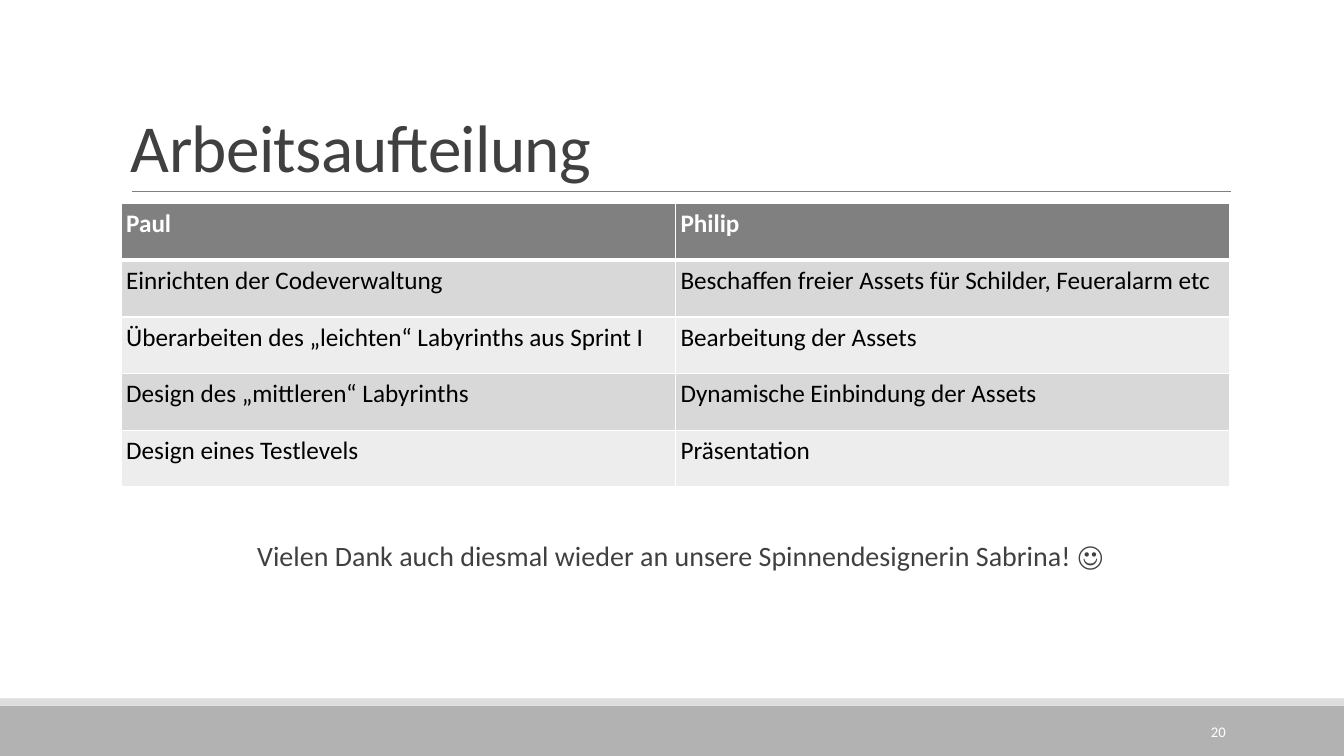
from pptx import Presentation
from pptx.dml.color import RGBColor
from pptx.enum.shapes import MSO_CONNECTOR as Connector, MSO_SHAPE as Shape
from pptx.enum.text import MSO_ANCHOR as Anchor, MSO_AUTO_SIZE as AutoSize, PP_ALIGN as Align
from pptx.oxml import parse_xml
from pptx.oxml.ns import nsdecls
from pptx.util import Cm, Pt

WIDTH, HEIGHT = 33.87, 19.05
LEFT, CONTENT_WIDTH = 3.05, 27.94
TASKS = [
    ("Paul", "Philip"),
    ("Einrichten der Codeverwaltung", "Beschaffen freier Assets für Schilder, Feueralarm etc"),
    ("Überarbeiten des „leichten“ Labyrinths aus Sprint I", "Bearbeitung der Assets"),
    ("Design des „mittleren“ Labyrinths", "Dynamische Einbindung der Assets"),
    ("Design eines Testlevels", "Präsentation"),
]


def color(value):
    return RGBColor.from_string(value)


def place(shape, box):
    shape.left, shape.top, shape.width, shape.height = [Cm(length) for length in box]


def add_run(paragraph, text, size, text_color, bold=False):
    run = paragraph.add_run()
    run.text = text
    run.font.name = "Calibri"
    run.font.size = Pt(size)
    run.font.bold = bold
    run.font.color.rgb = color(text_color)
    return run


def prepare_frame(frame, anchor, horizontal=0.25, top=0.13):
    frame.word_wrap = True
    frame.auto_size = AutoSize.NONE
    frame.vertical_anchor = anchor
    frame.margin_left = frame.margin_right = Cm(horizontal)
    frame.margin_top, frame.margin_bottom = Cm(top), Cm(0.13)
    return frame.paragraphs[0]


def add_band(slide, box, fill):
    band = slide.shapes.add_shape(Shape.RECTANGLE, *[Cm(length) for length in box])
    band.shadow.inherit = False
    band.fill.solid()
    band.fill.fore_color.rgb = color(fill)
    band.line.fill.background()


def add_footer(slide, box, number):
    left, top, width, height = box
    stripe = 0.18
    add_band(slide, (left, top + stripe, width, height - stripe), "B2B2B2")
    add_band(slide, (left, top, width, stripe), "DDDDDD")
    number_box = slide.shapes.add_textbox(
        Cm(left + 27.51), Cm(top + 0.33), Cm(3.63), Cm(1.02))
    paragraph = prepare_frame(number_box.text_frame, Anchor.MIDDLE)
    paragraph.alignment = Align.RIGHT
    add_run(paragraph, number, 10.5, "FFFFFF")


def add_title(slide, box, text):
    left, top, width, height = box
    title = slide.shapes.title
    place(title, box)
    paragraph = prepare_frame(title.text_frame, Anchor.BOTTOM)
    paragraph.alignment = Align.LEFT
    paragraph.line_spacing = 0.85
    run = add_run(paragraph, text, 48, "404040")
    run.font._element.set("spc", "-50")
    bottom = Cm(top + height)
    rule = slide.shapes.add_connector(
        Connector.STRAIGHT, Cm(left + 0.28), bottom, Cm(left + width + 0.03), bottom)
    rule.line.color.rgb = color("808080")
    rule.line.width = Pt(0.5)
    rule._element.spPr.append(parse_xml(f"<a:effectLst {nsdecls('a')}/>"))


def add_borders(cell, top, bottom):
    properties = cell._tc.get_or_add_tcPr()
    for side, width in (("L", 1), ("R", 1), ("T", top), ("B", bottom)):
        properties.append(parse_xml(
            f'<a:ln{side} {nsdecls("a")} w="{Pt(width)}"><a:solidFill>'
            f'<a:srgbClr val="FFFFFF"/></a:solidFill></a:ln{side}>'))


def add_task_table(slide, box, rows):
    left, top, width, height = box
    table = slide.shapes.add_table(
        len(rows), len(rows[0]), Cm(left), Cm(top), Cm(width), Cm(height)).table
    for column in table.columns:
        column.width = Cm(width / len(rows[0]))
    for row_index, texts in enumerate(rows):
        table.rows[row_index].height = Cm(height / len(rows))
        header = row_index == 0
        fill = "808080" if header else ("EDEDED", "D8D8D8")[row_index % 2]
        for column_index, text in enumerate(texts):
            cell = table.cell(row_index, column_index)
            cell.margin_left = cell.margin_right = Cm(0.13)
            cell.margin_top = cell.margin_bottom = Cm(0.13)
            add_borders(cell, 3 if row_index == 1 else 1, 3 if header else 1)
            cell.fill.solid()
            cell.fill.fore_color.rgb = color(fill)
            add_run(cell.text_frame.paragraphs[0], text, 18,
                    "FFFFFF" if header else "000000", header)


def add_thanks(slide, box, text):
    body = slide.placeholders[1]
    place(body, box)
    paragraph = prepare_frame(body.text_frame, Anchor.TOP, horizontal=0, top=1.4)
    properties = paragraph._p.get_or_add_pPr()
    properties.set("marL", str(Cm(0.25)))
    properties.set("indent", "0")
    properties.append(parse_xml(f"<a:buNone {nsdecls('a')}/>"))
    paragraph.alignment = Align.CENTER
    paragraph.line_spacing = 0.9
    paragraph.space_before = Pt(0)
    paragraph.space_after = Pt(2)
    add_run(paragraph, text, 20, "404040")


def main():
    presentation = Presentation()
    presentation.slide_width, presentation.slide_height = Cm(WIDTH), Cm(HEIGHT)
    slide = presentation.slides.add_slide(presentation.slide_layouts[1])
    add_footer(slide, (0, 17.6, WIDTH, HEIGHT - 17.6), "20")
    add_title(slide, (LEFT, 0.79, CONTENT_WIDTH, 4.04), "Arbeitsaufteilung")
    add_task_table(slide, (LEFT, 5.13, CONTENT_WIDTH, 7.14), TASKS)
    add_thanks(slide, (LEFT, 12.27, CONTENT_WIDTH, 4.04),
               "Vielen Dank auch diesmal wieder an unsere Spinnendesignerin Sabrina! ☺")
    presentation.save("out.pptx")


if __name__ == "__main__":
    main()
